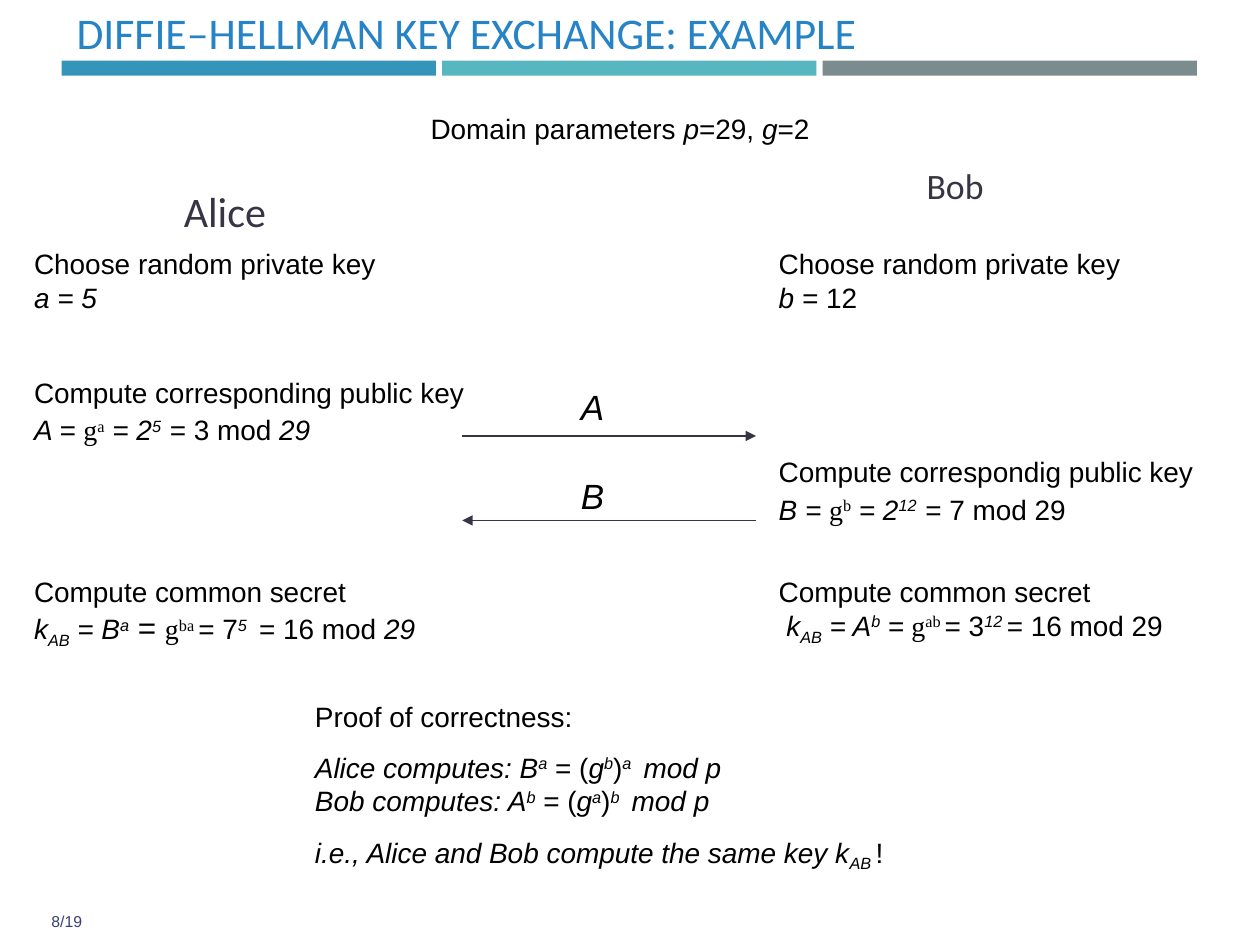
from dataclasses import dataclass

from lxml import etree
from pptx import Presentation
from pptx.dml.color import RGBColor
from pptx.enum.shapes import MSO_CONNECTOR, MSO_SHAPE
from pptx.enum.text import MSO_ANCHOR, PP_ALIGN
from pptx.oxml.ns import qn
from pptx.util import Pt

LEFT, CENTER, RIGHT = PP_ALIGN.LEFT, PP_ALIGN.CENTER, PP_ALIGN.RIGHT
TOP, MIDDLE, BOTTOM = MSO_ANCHOR.TOP, MSO_ANCHOR.MIDDLE, MSO_ANCHOR.BOTTOM
RECT, STRAIGHT = MSO_SHAPE.RECTANGLE, MSO_CONNECTOR.STRAIGHT


@dataclass(frozen=True)
class Theme:
    """Colours, fonts and type sizes of the slide."""
    bars: tuple = ("3494BA", "58B6C0", "7A8C8E")
    title: str = "2683C6"
    dark: str = "373545"
    ink: str = "000000"
    page: str = "394073"
    heading: str = "Calibri"
    body: str = "Arial"
    math: str = "Times New Roman"
    title_size: float = 25
    body_size: float = 16
    large_size: float = 18
    label_size: float = 20
    page_size: float = 9


T = Theme()


def add_run(p, text, style, size, font, color):
    """Add a run; style flags: i italic, ^ super, _ sub, t math font, L large."""
    r = p.add_run()
    r.text = text
    r.font.size = Pt(T.large_size if "L" in style else size)
    r.font.name = T.math if "t" in style else font
    r.font.italic = "i" in style
    r.font.color.rgb = RGBColor.from_string(color)
    for flag, baseline in (("^", "30000"), ("_", "-25000")):
        if flag in style:
            r._r.get_or_add_rPr().set("baseline", baseline)


def add_text(s, box, paragraphs, size=T.body_size, font=T.body, color=T.ink,
             align=LEFT, anchor=TOP, inset=(0, 0), spacing=None):
    """Place paragraphs of (text, style) runs in a box, with \\n as line break."""
    tf = s.shapes.add_textbox(*map(Pt, box)).text_frame
    tf.word_wrap = True
    tf.vertical_anchor = anchor
    tf.margin_left = tf.margin_right = Pt(inset[0])
    tf.margin_top = tf.margin_bottom = Pt(inset[1])
    for i, runs in enumerate(paragraphs):
        p = tf.add_paragraph() if i else tf.paragraphs[0]
        p.alignment = align
        if i:
            p.space_before = Pt(10)
        if spacing:
            p.line_spacing = spacing
        for text, style in runs:
            for n, line in enumerate(text.split("\n")):
                if n:
                    p.add_line_break()
                if line:
                    add_run(p, line, style, size, font, color)


def add_header(s, box, title):
    """Place the title over a row of three coloured bars."""
    x, y, w, h = box
    gap, bar_h = 3.6, 8.6
    bar_w = (w - 2 * gap) / 3
    for i, color in enumerate(T.bars):
        bar = s.shapes.add_shape(RECT, Pt(x + i * (bar_w + gap)),
                                 Pt(y + h - bar_h), Pt(bar_w), Pt(bar_h))
        bar.shadow.inherit = False
        bar.fill.solid()
        bar.fill.fore_color.rgb = RGBColor.from_string(color)
        bar.line.fill.background()
    add_text(s, (x + 1.4, y, 629, 32.4), [[(title, "")]], T.title_size,
             T.heading, T.title, anchor=BOTTOM, inset=(7.2, 3.6))


def add_party(s, box, name, name_box, name_size, name_spacing, steps):
    """Place a party's name and its steps at offsets down the box."""
    x, y, w, h = box
    dx, dy, name_w, name_h = name_box
    add_text(s, (x + dx, y + dy, name_w, name_h), [[(name, "")]], name_size,
             T.heading, T.dark, CENTER, MIDDLE, (7.2, 3.6), name_spacing)
    for offset, runs in steps:
        add_text(s, (x, y + offset, w, 41), [runs])


def add_message(s, box, label, to_right):
    """Place a labelled arrow along the bottom of the box."""
    x, y, w, h = box
    start, end = (x, x + w) if to_right else (x + w, x)
    arrow = s.shapes.add_connector(STRAIGHT, Pt(start), Pt(y + h), Pt(end), Pt(y + h))
    arrow.line.width = Pt(0.75)
    arrow.line.color.rgb = RGBColor.from_string(T.dark)
    etree.SubElement(arrow.line._get_or_add_ln(), qn("a:tailEnd"), type="triangle")
    etree.SubElement(arrow._element.spPr, qn("a:effectLst"))
    add_text(s, (x + 67.7, y, 28, 24), [[(label, "i")]], T.label_size)


def add_proof(s, box):
    """Place the proof of correctness."""
    add_text(s, box, [
        [("Proof of correctness:", "")],
        [("Alice computes: B", "i"), ("a", "i^"), (" = (", ""), ("g", "i"),
         ("b", "i^"), (")", ""), ("a ", "i^"), (" mod p\nBob computes: A", "i"),
         ("b", "i^"), (" = (", ""), ("g", "i"), ("a", "i^"), (")", ""),
         ("b ", "i^"), (" mod p", "i")],
        [("i.e., Alice and Bob compute the same key k", "i"), ("AB ", "i_"), ("!", "")],
    ])


def build_slide(s):
    """Place every region of the key exchange slide."""
    add_header(s, (35.3, 4.3, 648.7, 39), "DIFFIE–HELLMAN KEY EXCHANGE: EXAMPLE")
    add_text(s, (22.3, 64, 664, 19.4), [[
        ("Domain parameters ", ""), ("p", "i"), ("=29, ", ""), ("g", "i"), ("=2", "")]],
        align=CENTER)
    add_party(s, (19.5, 97, 260, 274), "Alice", (2.8, 0, 212.4, 50.4), 24, 0.9, [
        (44, [("Choose random private key\n", ""), ("a = 5", "i")]),
        (117.5, [("Compute corresponding public key\n", ""), ("A = ", "i"),
                 ("g", "t"), ("a", "t^"), (" = 2", "i"), ("5", "i^"), (" ", "L"),
                 ("= 3 mod ", ""), ("29", "i")]),
        (231.3, [("Compute common secret\n", ""), ("k", "i"), ("AB", "i_"),
                 (" = B", "i"), ("a", "i^"), (" = ", "L"), ("g", "t"), ("ba ", "t^"),
                 ("= 7", ""), ("5 ", "i^"), (" = 16 mod ", ""), ("29", "i")]),
    ])
    add_party(s, (445, 97, 260, 274), "Bob", (-73.5, -1.2, 348.5, 26), 20.4, 0.7, [
        (44, [("Choose random private key\n", ""), ("b =", "i"), (" 12", "")]),
        (163, [("Compute correspondig public key\n", ""), ("B = ", "i"),
               ("g", "t"), ("b", "t^"), (" = 2", "i"), ("12", "i^"), (" ", "L"),
               ("= 7 mod 29", "")]),
        (231.3, [("Compute common secret\n", ""), (" k", "i"), ("AB", "i_"),
                 (" = A", "i"), ("b", "i^"), (" =", ""), (" g", "t"), ("ab ", "t^"),
                 ("= 3", ""), ("12 ", "i^"), ("= 16 mod 29", "")]),
    ])
    add_message(s, (264.2, 220.3, 167.8, 28.8), "A", True)
    add_message(s, (264.2, 271.4, 167.8, 26), "B", False)
    add_proof(s, (180, 399.6, 343.4, 102))
    add_text(s, (14.4, 517.7, 39.6, 17.3), [[("8/19", "")]], T.page_size,
             color=T.page, align=RIGHT, anchor=MIDDLE, inset=(7.2, 3.6))


def main():
    """Build and save the presentation."""
    prs = Presentation()
    prs.slide_width, prs.slide_height = Pt(720), Pt(540)
    build_slide(prs.slides.add_slide(prs.slide_layouts[6]))
    prs.save("out.pptx")


if __name__ == "__main__":
    main()
